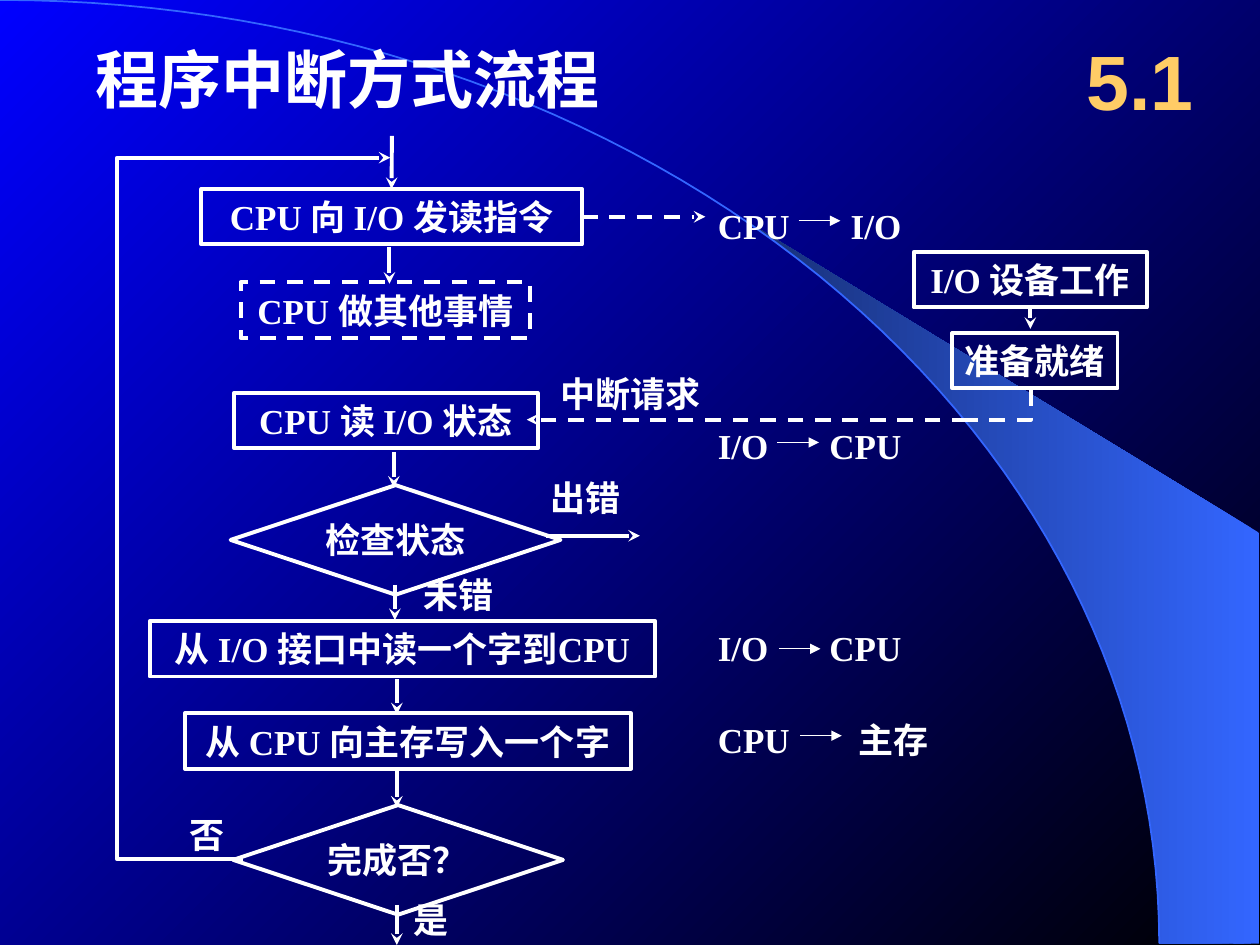
import math

import pptx
import pptx.dml.color
import pptx.enum.dml
import pptx.enum.shapes
import pptx.enum.text
import pptx.oxml
import pptx.oxml.ns
import pptx.util

Cm, Pt = pptx.util.Cm, pptx.util.Pt
RGBColor = pptx.dml.color.RGBColor
MSO_SHAPE = pptx.enum.shapes.MSO_SHAPE
PP_ALIGN = pptx.enum.text.PP_ALIGN

WHITE = RGBColor(0xFF, 0xFF, 0xFF)
BLACK = RGBColor(0x00, 0x00, 0x00)
BLUE = RGBColor(0x00, 0x00, 0xFF)
SKY = RGBColor(0x33, 0x66, 0xFF)
NAVY = RGBColor(0x17, 0x2F, 0x75)
GOLD = RGBColor(0xFF, 0xCC, 0x66)

# All positions are in centimetres.
SLIDE_W, SLIDE_H = 25.4, 19.05
ARC_RX, ARC_RY = 23.37, 19.02
BAND_START = 39.8  # degrees along the arc
BAND_RIGHT, BAND_CORNER_Y = 25.38, 10.74

ROW_H = 1.12
DIAMOND_W, DIAMOND_H = 6.65, 2.21

# name: (text, left, top, width, dashed)
BOXES = {
    "issue": ("CPU 向 I/O 发读指令", 4.06, 3.81, 7.67, False),
    "other": ("CPU 做其他事情", 4.85, 5.69, 5.84, True),
    "read": ("CPU 读 I/O 状态", 4.72, 7.92, 6.12, False),
    "device": ("I/O 设备工作", 18.42, 5.08, 4.7, False),
    "ready": ("准备就绪", 19.2, 6.71, 3.33, False),
    "word": ("从 I/O 接口中读一个字到CPU", 3.02, 12.52, 10.19, False),
    "memory": ("从 CPU 向主存写入一个字", 3.73, 14.38, 8.99, False),
}
DIAMONDS = [("检查状态", 4.65, 9.78), ("完成否？", 4.7, 16.23)]
# text, left, top, width
LABELS = [
    ("中断请求", 11.05, 7.37, 3.33),
    ("出错", 10.85, 9.47, 1.9),
    ("未错", 8.28, 11.43, 3.18),
    ("否", 3.58, 16.26, 1.22),
    ("是", 8.08, 17.98, 1.22),
]
# source, target, top, tab position, arrow left, arrow y
TRANSFERS = [
    ("CPU", "I/O", 3.99, 2.68, 16.1, 4.45),
    ("I/O", "CPU", 8.43, 2.25, 15.67, 8.92),
    ("I/O", "CPU", 12.5, 2.25, 15.7, 13.08),
    ("CPU", "主存", 14.35, 2.84, 16.13, 14.83),
]
TRANSFER_LEFT, TRANSFER_W, TRANSFER_ARROW = 14.22, 5.5, 0.84
# x, from y, to y
DOWN_ARROWS = [
    (7.85, 4.98, 5.72),
    (7.94, 9.12, 9.83),
    (7.96, 11.79, 12.5),
    (8.0, 13.69, 14.4),
    (8.0, 15.52, 16.28),
    (8.0, 18.24, 19.05),
]
LOOP = [(4.9, 17.32), (2.36, 17.32), (2.36, 3.18), (7.87, 3.18)]
REQUEST_BEND = [(20.78, 7.87), (20.78, 8.46), (19.3, 8.46)]

prs = pptx.Presentation()
prs.slide_width, prs.slide_height = Cm(SLIDE_W), Cm(SLIDE_H)
s = prs.slides.add_slide(prs.slide_layouts[6])


def set_gradient(fill, first, last, angle):
    fill.gradient()
    fill.gradient_angle = angle
    for stop, color in zip(fill.gradient_stops, (first, last)):
        stop.color.rgb = color


def style_line(line, color=WHITE, width=2.25, dashed=False, head=None):
    line.color.rgb = color
    line.width = Pt(width)
    if dashed:
        line.dash_style = pptx.enum.dml.MSO_LINE.DASH
    if head:
        ln = line._get_or_add_ln()
        ln.append(pptx.oxml.parse_xml(
            f'<a:tailEnd {pptx.oxml.ns.nsdecls("a")} type="{head}"/>'))


def write(sp, text, size=20, font="Times New Roman", color=WHITE,
          align=PP_ALIGN.CENTER, wrap=False, tab=None):
    tf = sp.text_frame
    tf.word_wrap = wrap
    tf.auto_size = pptx.enum.text.MSO_AUTO_SIZE.NONE
    tf.vertical_anchor = pptx.enum.text.MSO_ANCHOR.MIDDLE
    p = tf.paragraphs[0]
    p.alignment = align
    if tab:
        p._p.get_or_add_pPr().append(pptx.oxml.parse_xml(
            f'<a:tabLst {pptx.oxml.ns.nsdecls("a")}>'
            f'<a:tab pos="{Cm(tab)}" algn="l"/></a:tabLst>'))
    r = p.add_run()
    r.text = text
    r.font.size, r.font.name, r.font.bold = Pt(size), font, True
    r.font.color.rgb = color


def add_label(text, left, top, width, height=ROW_H, **fmt):
    sp = s.shapes.add_textbox(Cm(left), Cm(top), Cm(width), Cm(height))
    write(sp, text, **{"align": PP_ALIGN.LEFT, **fmt})


def add_step(kind, text, left, top, width, height, dashed=False):
    sp = s.shapes.add_shape(kind, Cm(left), Cm(top), Cm(width), Cm(height))
    sp.shadow.inherit = False
    sp.fill.background()
    style_line(sp.line, dashed=dashed)
    write(sp, text)
    return sp


def add_arrow(x1, y1, x2, y2, head="stealth", **fmt):
    c = s.shapes.add_connector(pptx.enum.shapes.MSO_CONNECTOR.STRAIGHT,
                               Cm(x1), Cm(y1), Cm(x2), Cm(y2))
    style_line(c.line, head=head, **fmt)
    c._element.spPr.append(pptx.oxml.parse_xml(
        f'<a:effectLst {pptx.oxml.ns.nsdecls("a")}/>'))
    return c


def add_path(points, close=False):
    (x, y), *rest = [(Cm(px), Cm(py)) for px, py in points]
    builder = s.shapes.build_freeform(x, y)
    builder.add_line_segments(rest, close=close)
    sp = builder.convert_to_shape()
    sp.shadow.inherit = False
    sp.fill.background()
    return sp


def arc_points(start, steps=60):
    """Points on the quarter ellipse from start degrees to the bottom right."""
    angles = [math.radians(start + (90 - start) * i / steps)
              for i in range(steps + 1)]
    return [(ARC_RX * math.sin(a), ARC_RY * (1 - math.cos(a))) for a in angles]


# Background
set_gradient(s.background.fill, BLACK, BLUE, 135)
band = add_path(arc_points(BAND_START)
                + [(BAND_RIGHT, ARC_RY), (BAND_RIGHT, BAND_CORNER_Y)], close=True)
set_gradient(band.fill, SKY, NAVY, 180)
band.line.fill.background()
style_line(add_path(arc_points(0)).line, color=SKY, width=1)

# Headings
add_label("程序中断方式流程", 1.68, 0.69, 10.67, 1.78, size=36)
add_label("5.1", 21.39, 0.43, 3.18, 2.34, size=44, font="Arial", color=GOLD,
          align=PP_ALIGN.CENTER, wrap=True)

# Steps and decisions
steps = {name: add_step(MSO_SHAPE.RECTANGLE, text, left, top, width, ROW_H, dashed)
         for name, (text, left, top, width, dashed) in BOXES.items()}
for text, left, top in DIAMONDS:
    add_step(MSO_SHAPE.DIAMOND, text, left, top, DIAMOND_W, DIAMOND_H)

# Flow arrows
for x, y1, y2 in DOWN_ARROWS:
    add_arrow(x, y1, x, y2)
add_arrow(7.9, 2.74, 7.9, 3.81).end_connect(steps["issue"], 0)
add_arrow(11.73, 4.37, 14.22, 4.37, dashed=True).begin_connect(steps["issue"], 3)
add_arrow(20.77, 6.2, 20.77, 6.63).begin_connect(steps["device"], 2)
add_arrow(11, 10.8, 12.9, 10.8)
add_arrow(19.51, 8.46, 10.62, 8.46, dashed=True)
style_line(add_path(REQUEST_BEND).line, dashed=True)
style_line(add_path(LOOP).line, head="stealth")

# Labels and data transfers
for label in LABELS:
    add_label(*label)
for source, target, top, tab, x, y in TRANSFERS:
    add_label(f"{source}\t{target}", TRANSFER_LEFT, top, TRANSFER_W,
              wrap=True, tab=tab)
    add_arrow(x, y, x + TRANSFER_ARROW, y, head="triangle", width=0.75)

prs.save("out.pptx")
